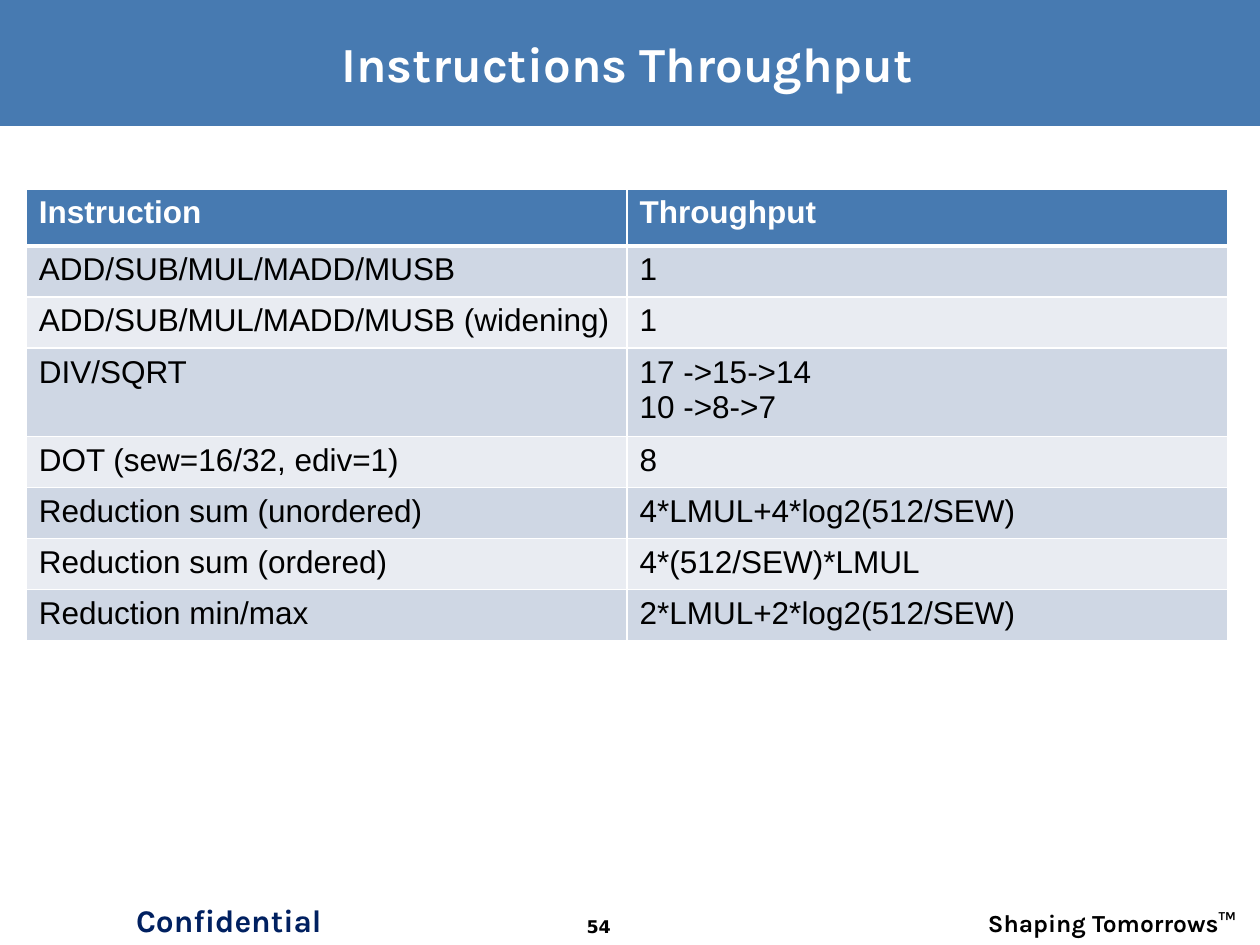
import pptx
import pptx.dml.color
import pptx.enum.shapes
import pptx.enum.text
import pptx.oxml
import pptx.oxml.ns
import pptx.util
from pptx.util import Cm

ALIGN = pptx.enum.text.PP_ALIGN
BLUE, WHITE, BLACK, NAVY = "477AB1", "FFFFFF", "000000", "002060"
BAND_FILLS = ("CFD7E4", "E9ECF2")

TITLE = "Instructions Throughput"
ROWS = [
    ("Instruction", "Throughput"),
    ("ADD/SUB/MUL/MADD/MUSB", "1"),
    ("ADD/SUB/MUL/MADD/MUSB (widening)", "1"),
    ("DIV/SQRT", "17 ->15->14\n10 ->8->7"),
    ("DOT (sew=16/32, ediv=1)", "8"),
    ("Reduction sum (unordered)", "4*LMUL+4*log2(512/SEW)"),
    ("Reduction sum (ordered)", "4*(512/SEW)*LMUL"),
    ("Reduction min/max", "2*LMUL+2*log2(512/SEW)"),
]
# text, (left, top, width, height) in cm, alignment, font, size, colour
FOOTERS = [
    ("Confidential", (2.39, 18.03, 4.45, 1.07), ALIGN.CENTER, "Karla", 18, NAVY),
    ("Shaping Tomorrows™", (19.15, 18.19, 6.02, 0.69), ALIGN.RIGHT, "Karla", 14, BLACK),
    ("54", (10.9, 18.34, 2.34, 0.71), ALIGN.CENTER, "DejaVu Sans", 10, BLACK),
]
HEADER_HEIGHT, ROW_HEIGHT, LINE_HEIGHT = 1.15, 1.03, 0.68


def rgb(colour):
    return pptx.dml.color.RGBColor.from_string(colour)


def fill_solid(target, colour):
    target.fill.solid()
    target.fill.fore_color.rgb = rgb(colour)


def add_run(paragraph, text, font, size, colour, bold):
    run = paragraph.add_run()
    run.text = text
    run.font.name = font
    run.font.size = pptx.util.Pt(size)
    run.font.bold = bold
    run.font.color.rgb = rgb(colour)
    return run


def add_text_shadow(run):
    effects = pptx.oxml.parse_xml(
        f'<a:effectLst {pptx.oxml.ns.nsdecls("a")}>'
        '<a:outerShdw dist="38100" dir="2700000">'
        f'<a:srgbClr val="{BLACK}"/></a:outerShdw></a:effectLst>')
    properties = run.font._element
    properties.find(pptx.oxml.ns.qn("a:solidFill")).addnext(effects)


def set_borders(cell, bottom_width, top_width):
    """Draw white cell borders; widths are in points."""
    properties = cell._tc.get_or_add_tcPr()
    widths = {"lnL": 1, "lnR": 1, "lnT": top_width, "lnB": bottom_width}
    for position, (tag, width) in enumerate(widths.items()):
        properties.insert(position, pptx.oxml.parse_xml(
            f'<a:{tag} {pptx.oxml.ns.nsdecls("a")} w="{width * 12700}">'
            f'<a:solidFill><a:srgbClr val="{WHITE}"/></a:solidFill></a:{tag}>'))


def add_title(slide):
    title = slide.shapes.title
    title.left, title.top, title.width, title.height = Cm(0.56), Cm(0.43), Cm(24.16), Cm(1.68)
    title.text_frame.vertical_anchor = pptx.enum.text.MSO_ANCHOR.MIDDLE
    paragraph = title.text_frame.paragraphs[0]
    paragraph.alignment = ALIGN.CENTER
    add_text_shadow(add_run(paragraph, TITLE, "Karla", 28, WHITE, True))

    banner = slide.shapes.add_shape(
        pptx.enum.shapes.MSO_SHAPE.RECTANGLE, 0, 0, Cm(25.4), Cm(2.54))
    banner.shadow.inherit = False
    fill_solid(banner, BLUE)
    banner.line.fill.background()
    title._element.addprevious(banner._element)  # behind the title


def add_throughput_table(slide):
    heights = [HEADER_HEIGHT] + [
        ROW_HEIGHT + LINE_HEIGHT * max(text.count("\n") for text in row) for row in ROWS[1:]]
    table = slide.shapes.add_table(
        len(ROWS), 2, Cm(0.53), Cm(3.81), Cm(24.22), Cm(sum(heights))).table
    for row_index, row in enumerate(ROWS):
        header = row_index == 0
        table.rows[row_index].height = Cm(heights[row_index])
        for column_index, text in enumerate(row):
            cell = table.cell(row_index, column_index)
            fill_solid(cell, BLUE if header else BAND_FILLS[(row_index - 1) % 2])
            set_borders(cell, 3 if header else 1, 3 if row_index == 1 else 1)
            for line_index, line in enumerate(text.split("\n")):
                frame = cell.text_frame
                paragraph = frame.add_paragraph() if line_index else frame.paragraphs[0]
                add_run(paragraph, line, "Arial", 18, WHITE if header else BLACK, header)


def add_footers(slide):
    for text, box, alignment, font, size, colour in FOOTERS:
        frame = slide.shapes.add_textbox(*map(Cm, box)).text_frame
        frame.word_wrap = True
        frame.paragraphs[0].alignment = alignment
        add_run(frame.paragraphs[0], text, font, size, colour, True)


def main():
    presentation = pptx.Presentation()
    presentation.slide_width, presentation.slide_height = Cm(25.4), Cm(19.05)
    slide = presentation.slides.add_slide(presentation.slide_layouts[5])
    add_title(slide)
    add_footers(slide)
    add_throughput_table(slide)
    presentation.save("out.pptx")


if __name__ == "__main__":
    main()
